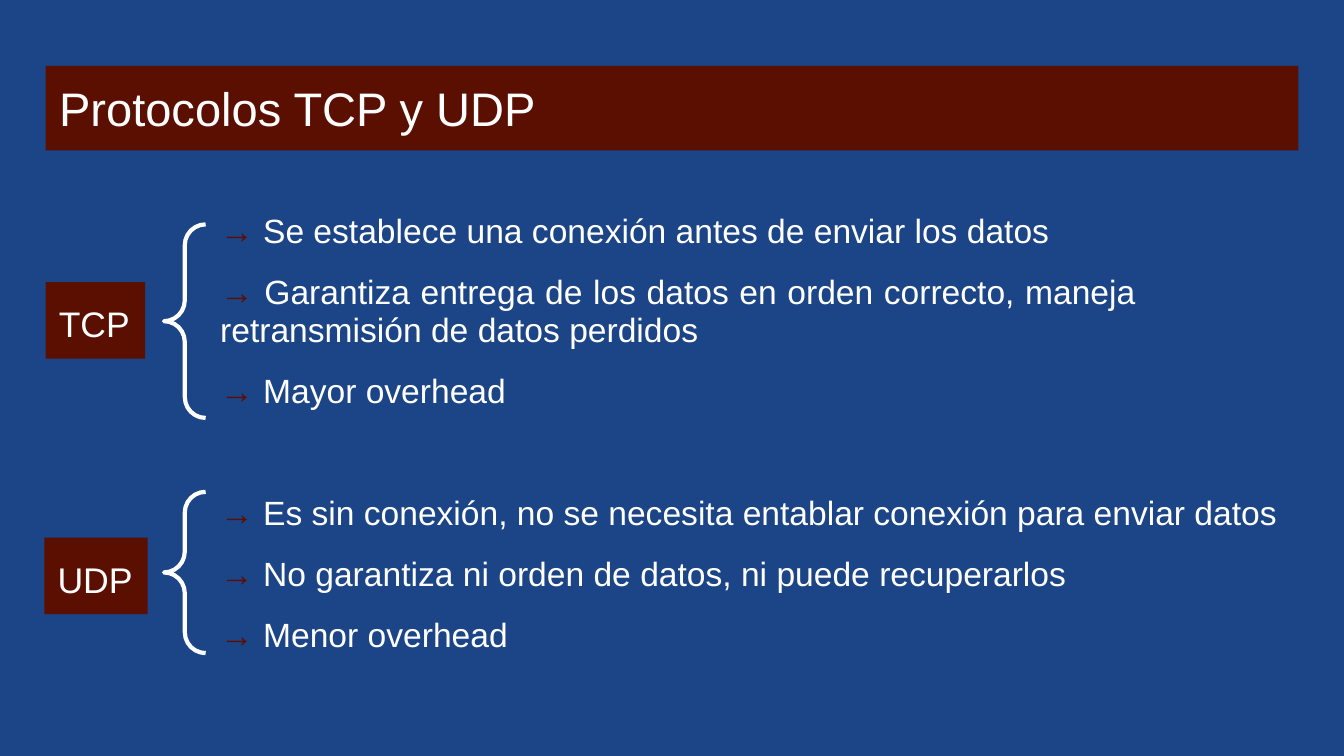
from pptx import Presentation
from pptx.dml.color import RGBColor
from pptx.enum.shapes import MSO_SHAPE
from pptx.enum.text import MSO_ANCHOR, MSO_AUTO_SIZE, PP_ALIGN
from pptx.util import Inches, Pt

COLORS = {"back": "1C4587", "box": "5B0F00", "text": "FFFFFF"}
WIDTH = Inches(10)
SIZE = {"slide_width": WIDTH, "slide_height": WIDTH * 9 // 16}
FRAME = {
    "word_wrap": True,
    "auto_size": MSO_AUTO_SIZE.NONE,
    "vertical_anchor": MSO_ANCHOR.MIDDLE,
    "margin_left": Inches(0.1),
    "margin_right": Inches(0.1),
    "margin_top": Inches(0.1),
    "margin_bottom": Inches(0.1),
}
LABEL = {"alignment": PP_ALIGN.LEFT, "line_spacing": 1.15, "space_after": Pt(12)}
POINT = {"alignment": PP_ALIGN.JUSTIFY, "line_spacing": 0.95}
GROUPS = [
    {
        "name": "TCP",
        "size": 19,
        "label": (0.34, 2.1, 0.74, 0.57),
        "brace": (1.22, 1.67, 0.31, 1.44),
        "list": (1.54, 1.52, 7.01, 1.6),
        "points": [
            "Se establece una conexión antes de enviar los datos",
            "Garantiza entrega de los datos en orden correcto, maneja "
            "retransmisión de datos perdidos",
            "Mayor overhead",
        ],
    },
    {
        "name": "UDP",
        "size": 19.1,
        "label": (0.33, 4, 0.77, 0.57),
        "brace": (1.22, 3.66, 0.31, 1.2),
        "list": (1.54, 3.56, 8.09, 1.44),
        "points": [
            "Es sin conexión, no se necesita entablar conexión para enviar datos",
            "No garantiza ni orden de datos, ni puede recuperarlos",
            "Menor overhead",
        ],
    },
]


def color(name):
    """Return the named colour."""
    return RGBColor.from_string(COLORS[name])


def apply(item, values):
    """Set each attribute of an item from a dict."""
    for key, value in values.items():
        setattr(item, key, value)


def paint(fill, name):
    """Fill with one solid colour."""
    fill.solid()
    fill.fore_color.rgb = color(name)


def write(para, text, size, shade):
    """Add a run of text to a paragraph."""
    run = para.add_run()
    run.text = text
    apply(run.font, {"name": "Arial", "size": Pt(size), "bold": False})
    run.font.color.rgb = color(shade)


def add_title(slide, box, text):
    """Place the title bar in its box."""
    title = slide.shapes.title
    apply(title, dict(zip(("left", "top", "width", "height"), map(Inches, box))))
    paint(title.fill, "box")
    apply(title.text_frame, FRAME)
    para = title.text_frame.paragraphs[0]
    para.alignment = PP_ALIGN.LEFT
    write(para, text, 25.2, "text")


def add_label(slide, box, text, size):
    """Place a protocol name in a filled box."""
    shape = slide.shapes.add_shape(MSO_SHAPE.RECTANGLE, *map(Inches, box))
    shape.shadow.inherit = False
    paint(shape.fill, "box")
    shape.line.fill.background()
    apply(shape.text_frame, FRAME)
    para = shape.text_frame.paragraphs[0]
    apply(para, LABEL)
    write(para, text, size, "text")


def add_brace(slide, box):
    """Place a left brace in its box."""
    brace = slide.shapes.add_shape(MSO_SHAPE.LEFT_BRACE, *map(Inches, box))
    brace.shadow.inherit = False
    brace.fill.background()
    brace.adjustments[0] = 0.5
    brace.line.color.rgb = color("text")
    brace.line.width = Pt(2.25)


def add_list(slide, box, points):
    """Place the points, each led by an arrow."""
    frame = slide.shapes.add_textbox(*map(Inches, box)).text_frame
    apply(frame, FRAME)
    for index, point in enumerate(points):
        para = frame.add_paragraph() if index else frame.paragraphs[0]
        apply(para, POINT)
        if index:
            para.space_before = Pt(12)
        write(para, "→", 18, "box")
        write(para, " " + point, 18, "text")
    para.space_after = Pt(12)


def add_group(slide, group):
    """Place one protocol with its brace and points."""
    add_list(slide, group["list"], group["points"])
    add_label(slide, group["label"], group["name"], group["size"])
    add_brace(slide, group["brace"])


def main():
    """Build and save the slide."""
    deck = Presentation()
    apply(deck, SIZE)
    slide = deck.slides.add_slide(deck.slide_layouts[5])
    paint(slide.background.fill, "back")
    add_title(slide, (0.34, 0.49, 9.32, 0.63), "Protocolos TCP y UDP")
    for group in GROUPS:
        add_group(slide, group)
    deck.save("out.pptx")


if __name__ == "__main__":
    main()
